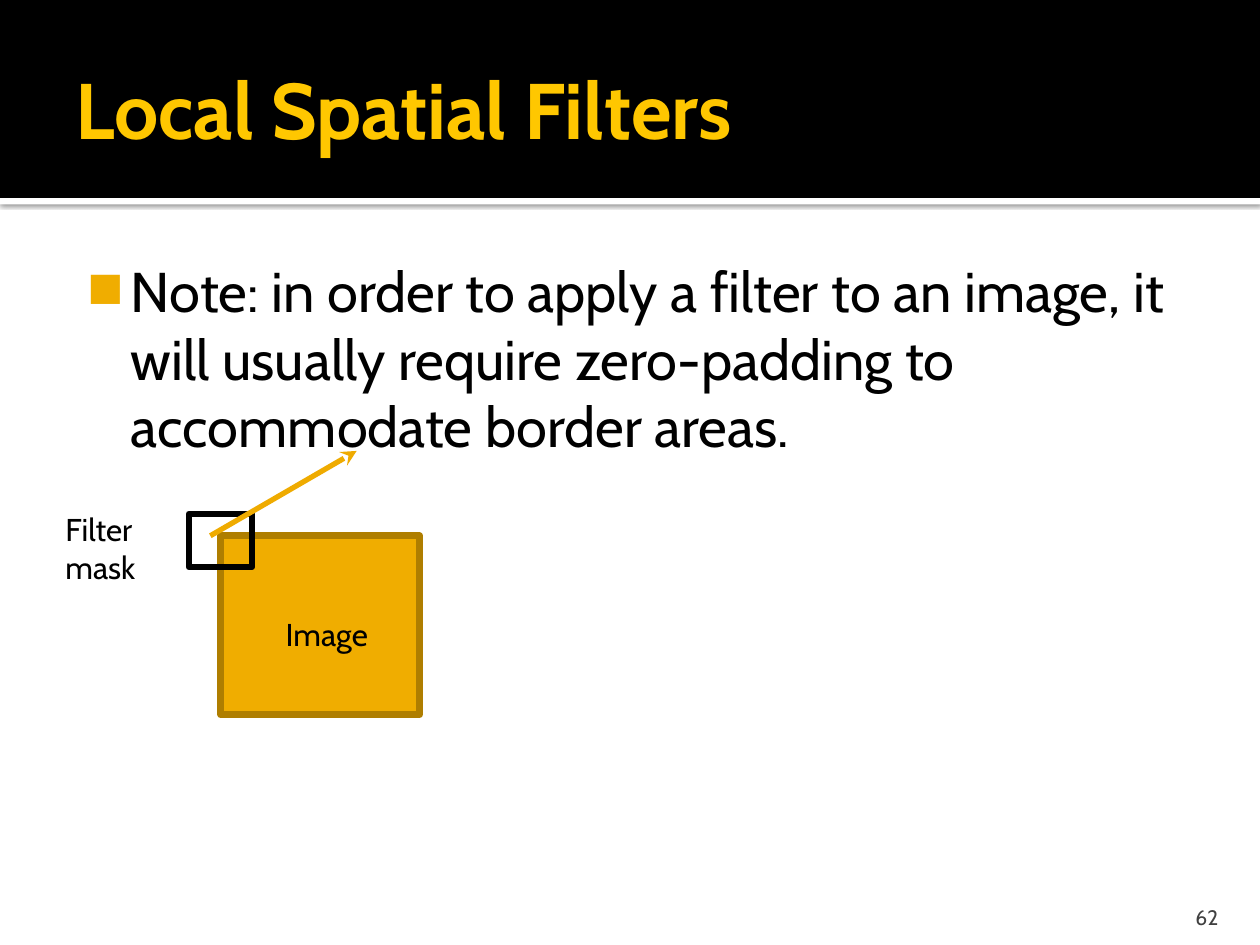
"""Build the slide on zero-padding for local spatial filters."""
import lxml.etree
import pptx
import pptx.dml.color
import pptx.enum.shapes
import pptx.enum.text
import pptx.oxml.ns
import pptx.util

Cm = pptx.util.Cm
ANCHOR = pptx.enum.text.MSO_ANCHOR
ALIGN = pptx.enum.text.PP_ALIGN

SLIDE_SIZE = (25.4, 19.05)
BULLET = {"character": "◼", "color": "F0AD00", "size": "80000", "left": 1.22, "hanging": -0.89}
RECTANGLES = [
    {"box": (0, 3.99, 25.4, 0.13), "fill": "FFFFFF", "shadow": True},
    {"box": (0, 0, 25.4, 3.99), "fill": "000000"},
    {"box": (4.45, 10.8, 4.01, 3.61), "fill": "F0AD00", "line": "AF7E00"},
    {"box": (3.81, 10.36, 1.27, 1.07), "line": "000000"},
]
ARROW = {"points": (4.24, 10.8, 7.19, 9.09), "color": "EFAB00", "width": 3}
LABEL_INSETS = (0.25, 0.13, 0.25, 0.13)
TEXTS = [
    {"text": "Local Spatial Filters", "box": (1.27, 0.43, 22.86, 3.48),
     "insets": (0.25, 0.13, 0.13, 0.13), "anchor": ANCHOR.MIDDLE,
     "size": 45, "color": "FFC700", "bold": True},
    {"text": "Note: in order to apply a filter to an image, it will usually require "
             "zero-padding to accommodate border areas.",
     "box": (1.27, 4.93, 22.86, 12.85), "insets": (0.15, 0.25, 0.25, 0.13),
     "size": 32, "bullet": BULLET},
    {"text": "62", "box": (22.78, 17.98, 2.03, 0.76), "insets": (0.25, 0.13, 0.25, 0),
     "anchor": ANCHOR.BOTTOM, "align": ALIGN.RIGHT, "size": 12, "color": "414141"},
    {"text": "Image", "box": (5.51, 12.27, 2.74, 1.02), "insets": LABEL_INSETS, "size": 18},
    {"text": "Filter mask", "box": (1.07, 10.16, 2.74, 1.8), "insets": LABEL_INSETS, "size": 18},
]


def rgb(value):
    return pptx.dml.color.RGBColor.from_string(value)


def lengths(values):
    return [Cm(value) for value in values]


def set_values(target, values):
    for name, value in values.items():
        setattr(target, name, value)


def add_element(parent, tag, **attributes):
    return lxml.etree.SubElement(parent, pptx.oxml.ns.qn(tag), attributes)


def add_rectangle(slide, item):
    shape = slide.shapes.add_shape(
        pptx.enum.shapes.MSO_SHAPE.RECTANGLE, *lengths(item["box"]))
    shape.shadow.inherit = False
    if "fill" in item:
        shape.fill.solid()
        shape.fill.fore_color.rgb = rgb(item["fill"])
    else:
        shape.fill.background()
    if "line" in item:
        shape.line.color.rgb = rgb(item["line"])
        shape.line.width = pptx.util.Pt(3.78)
        add_element(shape.line._get_or_add_ln(), "a:round")
    else:
        shape.line.fill.background()
    if item.get("shadow"):
        effects = shape._element.spPr.find(pptx.oxml.ns.qn("a:effectLst"))
        shadow = add_element(effects, "a:outerShdw", blurRad=str(pptx.util.Pt(2.5)),
                             dist=str(pptx.util.Pt(0.8)), dir="5400000")
        color = add_element(shadow, "a:srgbClr", val="000000")
        add_element(color, "a:alpha", val="60000")


def add_arrow(slide, item):
    connector = slide.shapes.add_connector(
        pptx.enum.shapes.MSO_CONNECTOR.STRAIGHT, *lengths(item["points"]))
    connector.line.color.rgb = rgb(item["color"])
    connector.line.width = pptx.util.Pt(item["width"])
    add_element(connector.line._get_or_add_ln(), "a:tailEnd", type="stealth")
    add_element(connector._element.spPr, "a:effectLst")


def add_bullet(paragraph, bullet):
    properties = paragraph._p.get_or_add_pPr()
    properties.set("marL", str(Cm(bullet["left"])))
    properties.set("indent", str(Cm(bullet["hanging"])))
    color = add_element(properties, "a:buClr")
    add_element(color, "a:srgbClr", val=bullet["color"])
    add_element(properties, "a:buSzPct", val=bullet["size"])
    add_element(properties, "a:buChar", char=bullet["character"])


def add_text(slide, item):
    frame = slide.shapes.add_textbox(*lengths(item["box"])).text_frame
    left, top, right, bottom = lengths(item["insets"])
    set_values(frame, {
        "word_wrap": True, "vertical_anchor": item.get("anchor", ANCHOR.TOP),
        "margin_left": left, "margin_top": top,
        "margin_right": right, "margin_bottom": bottom,
    })
    paragraph = frame.paragraphs[0]
    paragraph.alignment = item.get("align", ALIGN.LEFT)
    if "bullet" in item:
        add_bullet(paragraph, item["bullet"])
    run = paragraph.add_run()
    run.text = item["text"]
    set_values(run.font, {
        "name": "Cabin", "size": pptx.util.Pt(item["size"]), "bold": item.get("bold", False),
    })
    run.font.color.rgb = rgb(item.get("color", "000000"))


def main():
    presentation = pptx.Presentation()
    presentation.slide_width, presentation.slide_height = lengths(SLIDE_SIZE)
    slide = presentation.slides.add_slide(presentation.slide_layouts[6])
    for item in RECTANGLES:
        add_rectangle(slide, item)
    add_arrow(slide, ARROW)
    for item in TEXTS:
        add_text(slide, item)
    presentation.save("out.pptx")


if __name__ == "__main__":
    main()
